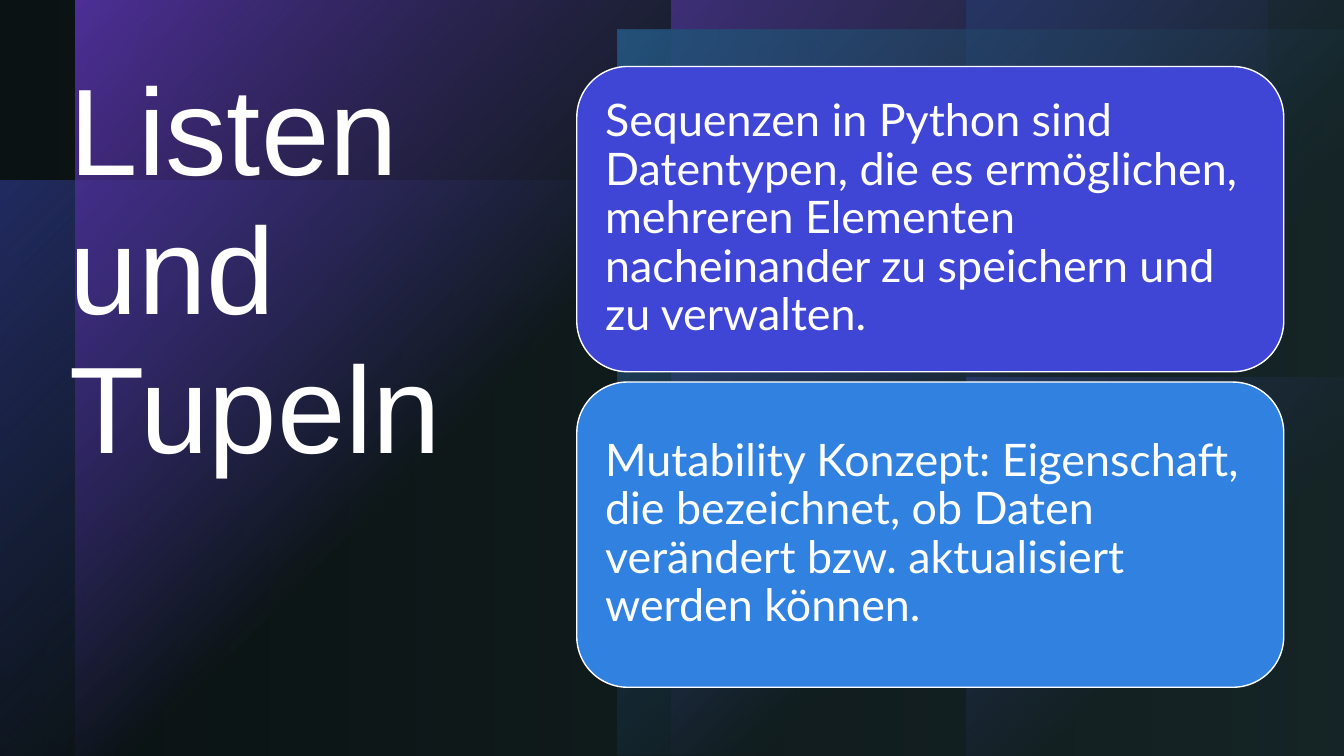
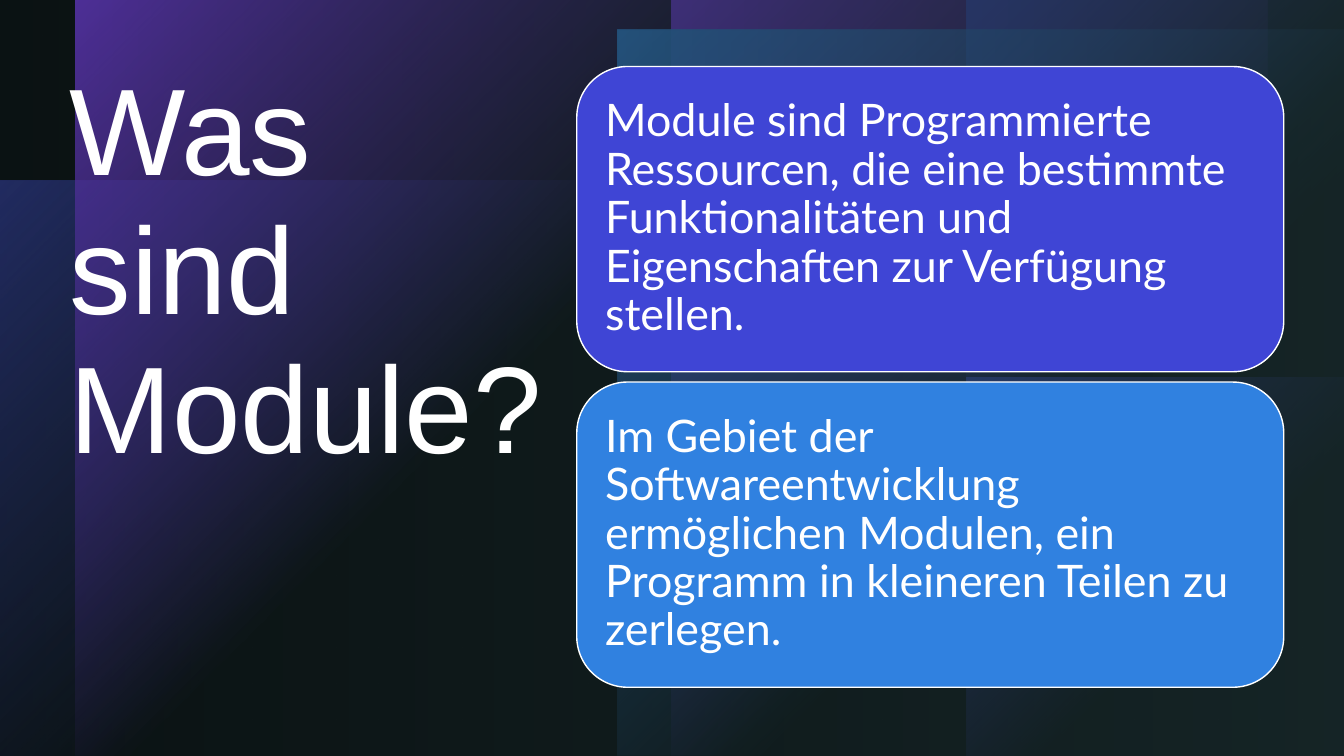
from typing import NamedTuple

from lxml.etree import SubElement
from pptx import Presentation
from pptx.dml.color import RGBColor
from pptx.enum.shapes import MSO_SHAPE
from pptx.enum.text import MSO_ANCHOR, MSO_AUTO_SIZE, PP_ALIGN
from pptx.oxml.ns import qn
from pptx.shapes.autoshape import Shape
from pptx.slide import Slide
from pptx.text.text import TextFrame
from pptx.util import Pt

HUES = {
    "black": "000000",
    "white": "FFFFFF",
    "blue": "3F45D5",
    "sky": "3081E0",
    "plum": "7230E0",
    "veil": "1C2F31",
}
WIDE, HIGH = 960, 540


class Box(NamedTuple):
    left: float
    top: float
    width: float
    height: float


class Stop(NamedTuple):
    place: int
    hue: str
    alpha: int


class Glow(NamedTuple):
    box: Box
    hue: str
    alpha: int = 100


class Topic(NamedTuple):
    title: str
    cards: tuple[str, str]


FULL = Box(0, 0, WIDE, HIGH)
TITLE = Box(42.5, 42.5, 354, 453.5)
CARD = Box(412, 47.5, 505, 218)
CARD_GAP = 7.4
CARD_HUES = ("blue", "sky")
GLOWS = (
    Glow(Box(0, 129, 411, 411), "blue", 60),
    Glow(Box(479.5, 0, 425.5, HIGH), "plum"),
    Glow(Box(54, 0, 425.5, HIGH), "plum"),
    Glow(Box(690, 270, 270, 270), "blue"),
    Glow(Box(690, 0, 270, 270), "blue"),
    Glow(Box(441, 21.5, 519, 518.5), "sky"),
)
TOPICS = (
    Topic("Listen und Tupeln", (
        "Sequenzen in Python sind Datentypen, die es ermöglichen, mehreren "
        "Elementen nacheinander zu speichern und zu verwalten.",
        "Mutability Konzept: Eigenschaft, die bezeichnet, ob Daten "
        "verändert bzw. aktualisiert werden können.",
    )),
    Topic("Was sind Module?", (
        "Module sind Programmierte Ressourcen, die eine bestimmte "
        "Funktionalitäten und Eigenschaften zur Verfügung stellen.",
        "Im Gebiet der Softwareentwicklung ermöglichen Modulen, ein "
        "Programm in kleineren Teilen zu zerlegen.",
    )),
)


def color(hue: str) -> RGBColor:
    return RGBColor.from_string(HUES[hue])


def add_box(slide: Slide, kind: MSO_SHAPE, box: Box) -> Shape:
    shape = slide.shapes.add_shape(kind, *map(Pt, box))
    shape.shadow.inherit = False
    shape.line.fill.background()
    return shape


def blend(shape: Shape, stops: tuple[Stop, ...], radial: bool) -> None:
    """Fill with a fading gradient, from the top left corner or left to right."""
    shape.fill.background()
    props = shape.element.spPr
    none = props.find(qn("a:noFill"))
    grad = SubElement(props, qn("a:gradFill"), rotWithShape="1")
    props.replace(none, grad)
    parts = SubElement(grad, qn("a:gsLst"))
    for stop in stops:
        part = SubElement(parts, qn("a:gs"), pos=str(stop.place * 1000))
        tint = SubElement(part, qn("a:srgbClr"), val=HUES[stop.hue])
        SubElement(tint, qn("a:alpha"), val=str(stop.alpha * 1000))
    if radial:
        route = SubElement(grad, qn("a:path"), path="circle")
        SubElement(route, qn("a:fillToRect"), r="100000", b="100000")
    else:
        SubElement(grad, qn("a:lin"), ang="0", scaled="0")


def add_backdrop(slide: Slide) -> None:
    for glow in GLOWS:
        panel = add_box(slide, MSO_SHAPE.RECTANGLE, glow.box)
        stops = (Stop(0, glow.hue, glow.alpha), Stop(60, glow.hue, 0))
        blend(panel, stops, radial=True)
    veil = add_box(slide, MSO_SHAPE.RECTANGLE, FULL)
    blend(veil, (Stop(0, "veil", 40), Stop(100, "veil", 80)), radial=False)


def write(frame: TextFrame, text: str, face: str, size: int, pitch: float) -> None:
    frame.text = text
    frame.word_wrap = True
    frame.auto_size = MSO_AUTO_SIZE.NONE
    line = frame.paragraphs[0]
    line.alignment = PP_ALIGN.LEFT
    line.line_spacing = pitch
    font = line.runs[0].font
    font.name, font.size = face, Pt(size)
    font.color.rgb = color("white")


def set_title(slide: Slide, text: str) -> None:
    title = slide.shapes.title
    title.left, title.top, title.width, title.height = map(Pt, TITLE)
    write(title.text_frame, text, "Arial", 88, 0.94)
    title.text_frame.vertical_anchor = MSO_ANCHOR.TOP
    slide.shapes.element.append(title.element)  # bring in front of the backdrop


def add_card(slide: Slide, row: int, text: str) -> None:
    top = CARD.top + row * (CARD.height + CARD_GAP)
    card = add_box(slide, MSO_SHAPE.ROUNDED_RECTANGLE, CARD._replace(top=top))
    card.fill.solid()
    card.fill.fore_color.rgb = color(CARD_HUES[row])
    card.line.color.rgb = color("white")
    card.line.width = Pt(1)
    frame = card.text_frame
    frame.margin_left = frame.margin_right = Pt(9.6)
    frame.margin_top = frame.margin_bottom = Pt(9.6)
    frame.vertical_anchor = MSO_ANCHOR.MIDDLE
    write(frame, text, "Lato", 32, 0.9)


def main() -> None:
    deck = Presentation()
    deck.slide_width, deck.slide_height = Pt(WIDE), Pt(HIGH)
    ground = deck.slide_master.background.fill
    ground.solid()
    ground.fore_color.rgb = color("black")
    layout = deck.slide_layouts.get_by_name("Title Only")
    for topic in TOPICS:
        slide = deck.slides.add_slide(layout)
        add_backdrop(slide)
        set_title(slide, topic.title)
        for row, text in enumerate(topic.cards):
            add_card(slide, row, text)
    deck.save("out.pptx")


if __name__ == "__main__":
    main()
